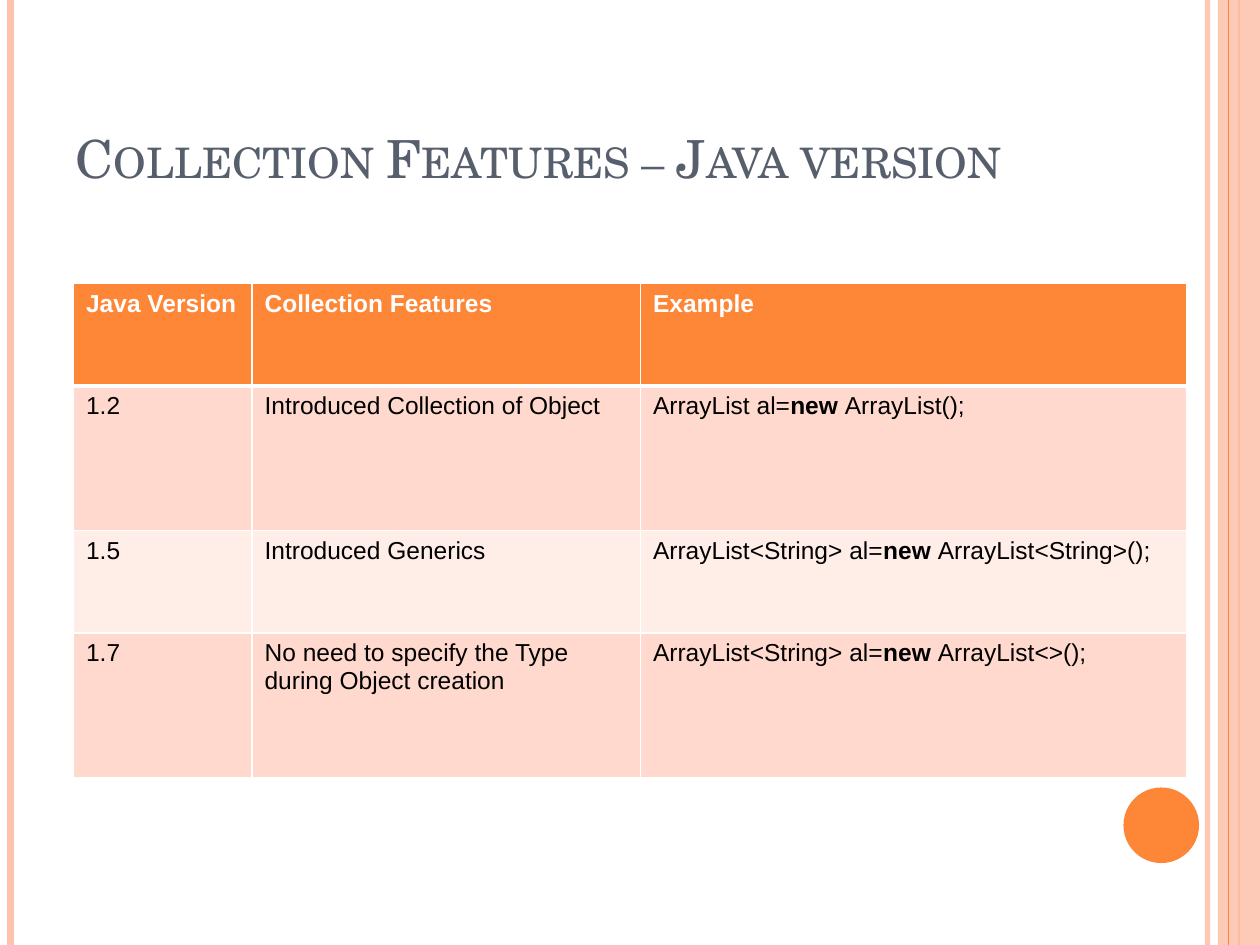
from pptx import Presentation
from pptx.dml.color import RGBColor
from pptx.enum.shapes import MSO_CONNECTOR, MSO_SHAPE
from pptx.enum.text import MSO_ANCHOR, PP_ALIGN
from pptx.oxml.ns import qn
from pptx.oxml.xmlchemy import OxmlElement
from pptx.util import Pt

STRAIGHT = MSO_CONNECTOR.STRAIGHT
RECTANGLE, OVAL = MSO_SHAPE.RECTANGLE, MSO_SHAPE.OVAL
BOTTOM, LEFT = MSO_ANCHOR.BOTTOM, PP_ALIGN.LEFT

ORANGE = RGBColor(0xFE, 0x86, 0x37)
PEACH = RGBColor(0xFE, 0xC3, 0xAE)
SLATE = RGBColor(0x57, 0x5F, 0x6D)
BAND_DARK = RGBColor(0xFF, 0xD9, 0xCE)
BAND_LIGHT = RGBColor(0xFF, 0xED, 0xE8)
WHITE = RGBColor(0xFF, 0xFF, 0xFF)
BLACK = RGBColor(0, 0, 0)

PAGE_WIDTH, PAGE_HEIGHT = 720, 540
TITLE_FORMAT = {"name": "TeX Gyre Schola", "size": Pt(30), "bold": False}
CELL_FORMAT = {"name": "Arial", "size": Pt(14)}

COLUMN_WIDTHS = [102, 222, 312]
ROW_HEIGHTS = [58.5, 82.8, 58.5, 82.8]
ROWS = [
    ["Java Version", "Collection Features", "Example"],
    ["1.2", "Introduced Collection of Object",
     ["ArrayList al=", "new ", "ArrayList();"]],
    ["1.5", "Introduced Generics",
     ["ArrayList<String> al=", "new ", "ArrayList<String>();"]],
    ["1.7", "No need to specify the Type during Object creation",
     ["ArrayList<String> al=", "new ", "ArrayList<>();"]],
]


def set_format(font, color, values):
    """Apply a color and a dict of format values to a font."""
    font.color.rgb = color
    for name, value in values.items():
        setattr(font, name, value)


def set_opacity(shape, percent):
    """Set the opacity of every color of a shape."""
    for color in shape._element.spPr.iter(qn("a:srgbClr")):
        alpha = OxmlElement("a:alpha")
        alpha.set("val", str(percent * 1000))
        color.append(alpha)


def add_stripe(page, x, color, width):
    """Draw a line of full page height at x."""
    stripe = page.shapes.add_connector(STRAIGHT, Pt(x), 0, Pt(x), Pt(PAGE_HEIGHT))
    stripe.line.color.rgb = color
    stripe.line.width = Pt(width)
    stripe._element.spPr.append(OxmlElement("a:effectLst"))
    return stripe


def add_plain_shape(page, kind, box, color):
    """Draw a filled shape without outline or shadow."""
    shape = page.shapes.add_shape(kind, *map(Pt, box))
    shape.shadow.inherit = False
    shape.fill.solid()
    shape.fill.fore_color.rgb = color
    shape.line.fill.background()
    return shape


def add_frame(page):
    """Draw the stripes, the side band and the disc."""
    set_opacity(add_stripe(page, 690, PEACH, 3), 93)
    add_stripe(page, 6, PEACH, 4.5)
    add_stripe(page, 708, ORANGE, 1.5)
    band = add_plain_shape(page, RECTANGLE, (696, 0, 24, PAGE_HEIGHT), PEACH)
    set_opacity(band, 87)
    add_stripe(page, 702, ORANGE, 0.75)
    add_plain_shape(page, OVAL, (642, 450, 43.2, 43.2), ORANGE)


def fill_title(page, box, text):
    """Place the title placeholder and write it in small capitals."""
    title = page.shapes.title
    title.left, title.top, title.width, title.height = map(Pt, box)
    title.text_frame.vertical_anchor = BOTTOM
    para = title.text_frame.paragraphs[0]
    para.alignment = LEFT
    span = para.add_run()
    span.text = text
    set_format(span.font, SLATE, TITLE_FORMAT)
    span._r.get_or_add_rPr().set("cap", "small")


def set_borders(cell, bottom_width):
    """Give a cell white borders, with its own width at the bottom."""
    properties = cell._tc.get_or_add_tcPr()
    for side, width in {"L": 1, "R": 1, "T": 1, "B": bottom_width}.items():
        border = OxmlElement(f"a:ln{side}")
        border.set("w", str(Pt(width)))
        fill = OxmlElement("a:solidFill")
        color = OxmlElement("a:srgbClr")
        color.set("val", str(WHITE))
        fill.append(color)
        border.append(fill)
        properties.append(border)


def fill_cell(cell, content, is_header, color):
    """Write a cell; the second span of a code line is bold."""
    set_borders(cell, 3 if is_header else 1)
    cell.fill.solid()
    cell.fill.fore_color.rgb = color
    para = cell.text_frame.paragraphs[0]
    spans = [content] if isinstance(content, str) else content
    for index, text in enumerate(spans):
        span = para.add_run()
        span.text = text
        set_format(span.font, WHITE if is_header else BLACK, CELL_FORMAT)
        span.font.bold = is_header or index == 1


def add_feature_table(page, left, top):
    """Build the table of features by version."""
    size = sum(COLUMN_WIDTHS), sum(ROW_HEIGHTS)
    table = page.shapes.add_table(
        len(ROWS), len(COLUMN_WIDTHS), *map(Pt, (left, top, *size))).table
    for column, width in zip(table.columns, COLUMN_WIDTHS):
        column.width = Pt(width)
    for index, (row, height) in enumerate(zip(table.rows, ROW_HEIGHTS)):
        row.height = Pt(height)
        band = BAND_DARK if index % 2 else BAND_LIGHT
        color = band if index else ORANGE
        for cell, content in zip(row.cells, ROWS[index]):
            fill_cell(cell, content, index == 0, color)


def main():
    """Build and save the deck."""
    deck = Presentation()
    deck.slide_width, deck.slide_height = Pt(PAGE_WIDTH), Pt(PAGE_HEIGHT)
    page = deck.slides.add_slide(deck.slide_layouts[5])
    add_frame(page)
    fill_title(page, (36, 21.6, 588, 90), "Collection Features – Java version")
    add_feature_table(page, 42, 162)
    deck.save("out.pptx")


if __name__ == "__main__":
    main()
